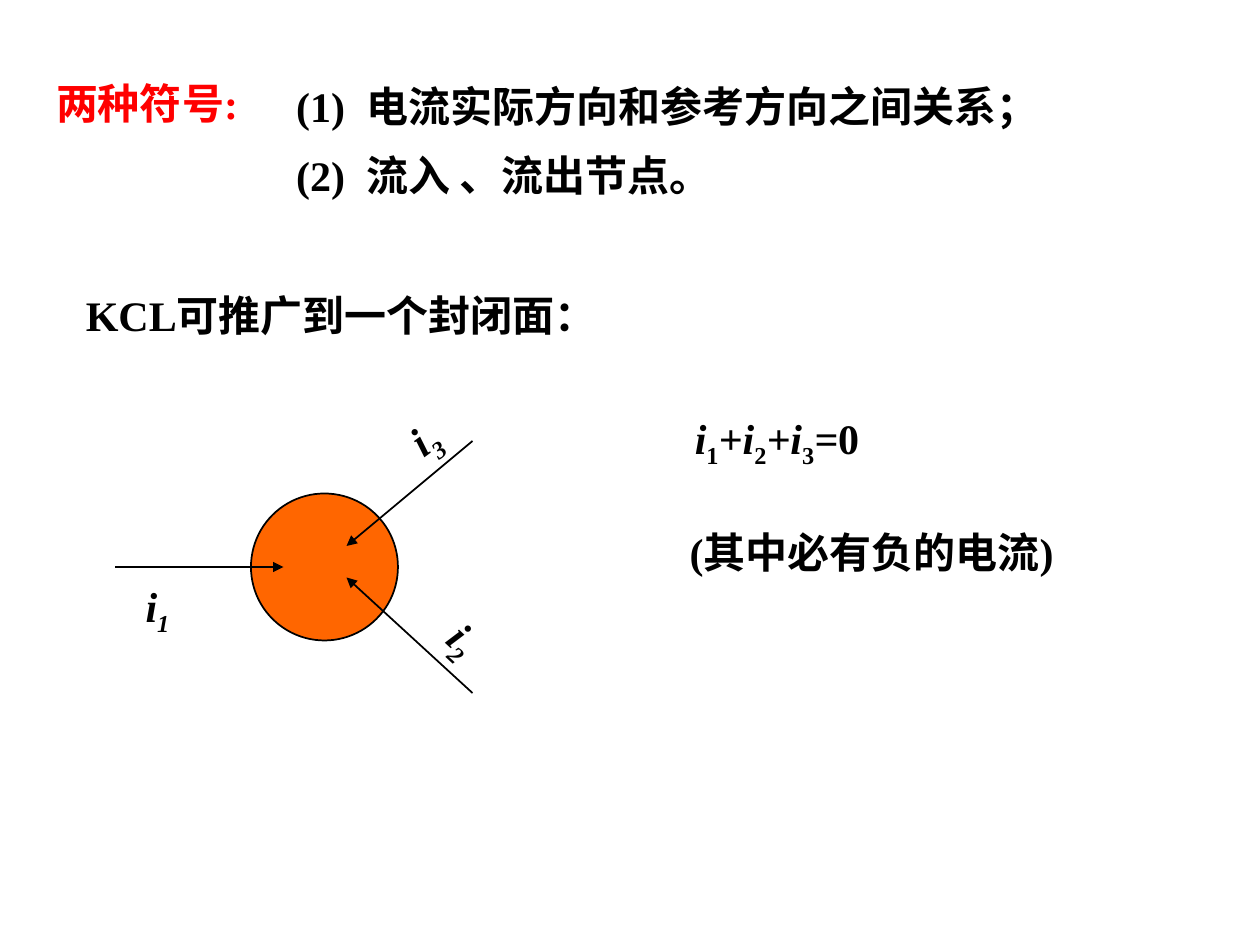
"""Build the slide on sign rules and Kirchhoff's current law for a closed surface."""
from lxml.etree import SubElement
from pptx import Presentation
from pptx.dml.color import RGBColor
from pptx.enum.shapes import MSO_CONNECTOR as Connector, MSO_SHAPE as Shape
from pptx.enum.text import MSO_ANCHOR as Anchor, MSO_AUTO_SIZE as AutoSize, PP_ALIGN as Align
from pptx.oxml.ns import qn
from pptx.util import Inches, Pt

BLACK, RED, ORANGE = "000000", "FF0000", "FF6600"

deck = Presentation()
deck.slide_width, deck.slide_height = Inches(10), Inches(7.5)
unit = deck.slide_width // 120
slide = deck.slides.add_slide(deck.slide_layouts[1])
shapes = slide.shapes


def paint(target, colour):
    """Give a fill or a font colour holder its hex colour."""
    target.rgb = RGBColor.from_string(colour)


def write(box, place, lines, colour=BLACK, align=Align.CENTER):
    """Place a box on the grid and fill it with lines of (text, italic, subscript) runs."""
    box.left, box.top, box.width, box.height = [int(n * unit) for n in place]
    frame = box.text_frame
    frame.word_wrap = True
    frame.auto_size = AutoSize.NONE
    frame.vertical_anchor = Anchor.MIDDLE
    for index, runs in enumerate(lines):
        line = frame.add_paragraph() if index else frame.paragraphs[0]
        props = line._p.get_or_add_pPr()
        props.set("marL", "0")
        props.set("indent", "0")
        SubElement(props, qn("a:buNone"))
        line.alignment = align
        line.space_before = Pt(11 if index else 0)
        for text, italic, subscript in runs:
            run = line.add_run()
            run.text = text
            font = run.font
            font.name, font.size, font.bold, font.italic = "Times New Roman", Pt(24), True, italic
            paint(font.fill.solid() or font.color, colour)
            if subscript:
                run._r.get_or_add_rPr().set("baseline", "-25000")


rules = ["(1)  电流实际方向和参考方向之间关系；", "(2)  流入 、流出节点。"]
write(slide.placeholders[1], (27, 6.75, 78, 13.2),
      [[(rule, False, False)] for rule in rules], align=Align.LEFT)
write(shapes.title, (4, 6.75, 20, 6), [[("两种符号:", False, False)]], RED)

surface = shapes.add_shape(Shape.OVAL, *[int(n * unit) for n in (23.9, 47, 14, 14)])
surface.shadow.inherit = False
surface.fill.solid()
paint(surface.fill.fore_color, ORANGE)
paint(surface.line.color, BLACK)
surface.line.width = Pt(1)

for ends in [(11, 54, 27, 54), (45, 42, 33, 52), (45, 66, 33, 55)]:
    current = shapes.add_connector(Connector.STRAIGHT, *[n * unit for n in ends])
    paint(current.line.color, BLACK)
    current.line.width = Pt(1)
    SubElement(current.line._get_or_add_ln(), qn("a:tailEnd"), type="triangle")
    SubElement(current._element.spPr, qn("a:effectLst"))

for number, place, turn in [("1", (11, 55, 8, 6), 0),
                            ("2", (40, 58, 8, 6), 42.9),
                            ("3", (37, 39, 7, 6), 323.4)]:
    label = shapes.add_textbox(0, 0, 0, 0)
    write(label, place, [[("i", True, False), (number, True, True)]])
    label.rotation = turn

equation = [("i", True, False), ("1", False, True), ("+i", True, False), ("2", False, True),
            ("+i", True, False), ("3", False, True), ("=", True, False), ("0", False, False)]
for place, runs in [((4, 27, 57, 6), [("KCL可推广到一个封闭面：", False, False)]),
                    ((61, 39, 26, 6), equation),
                    ((61, 49.5, 44, 6), [("(其中必有负的电流)", False, False)])]:
    write(shapes.add_textbox(0, 0, 0, 0), place, [runs])

deck.save("out.pptx")
